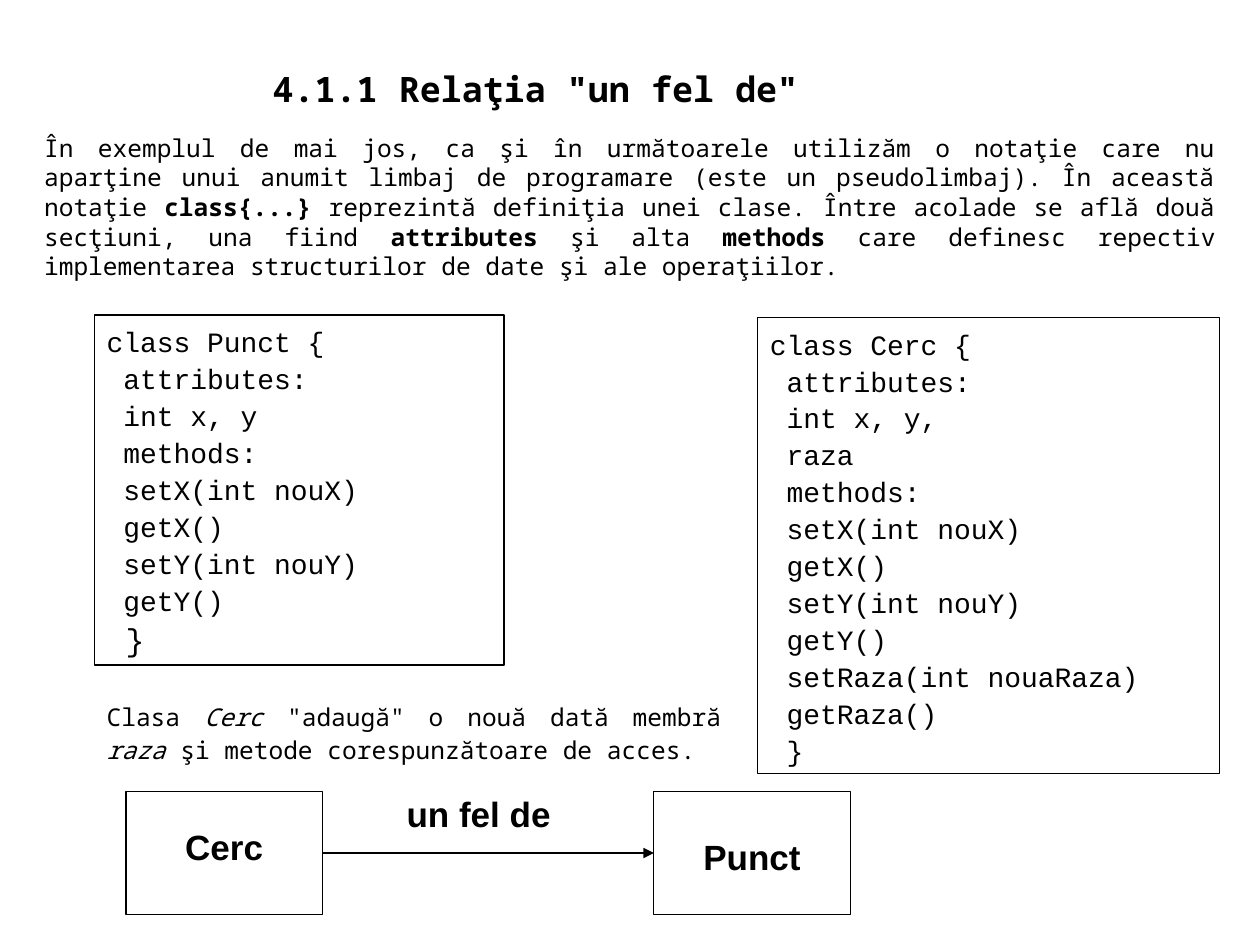
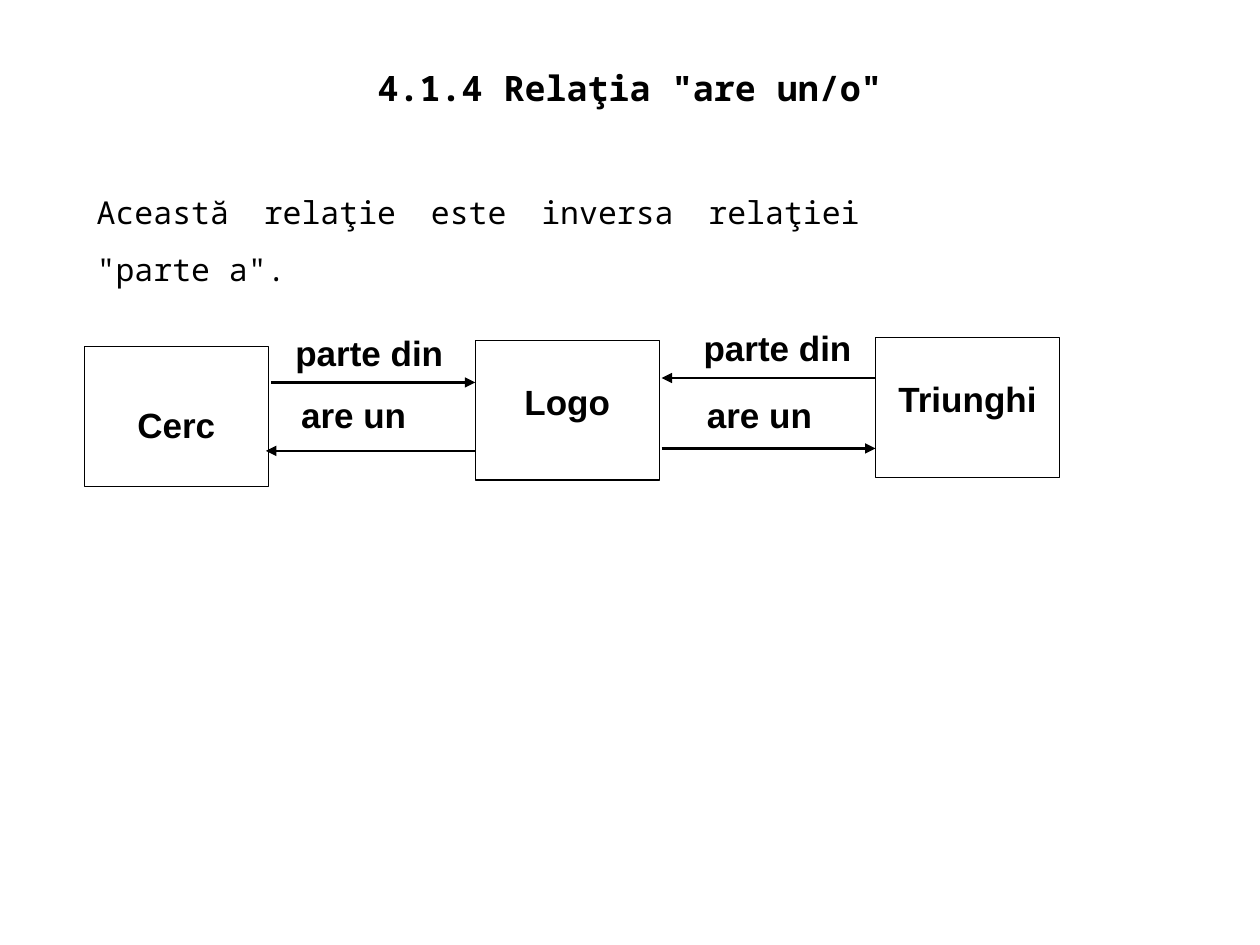
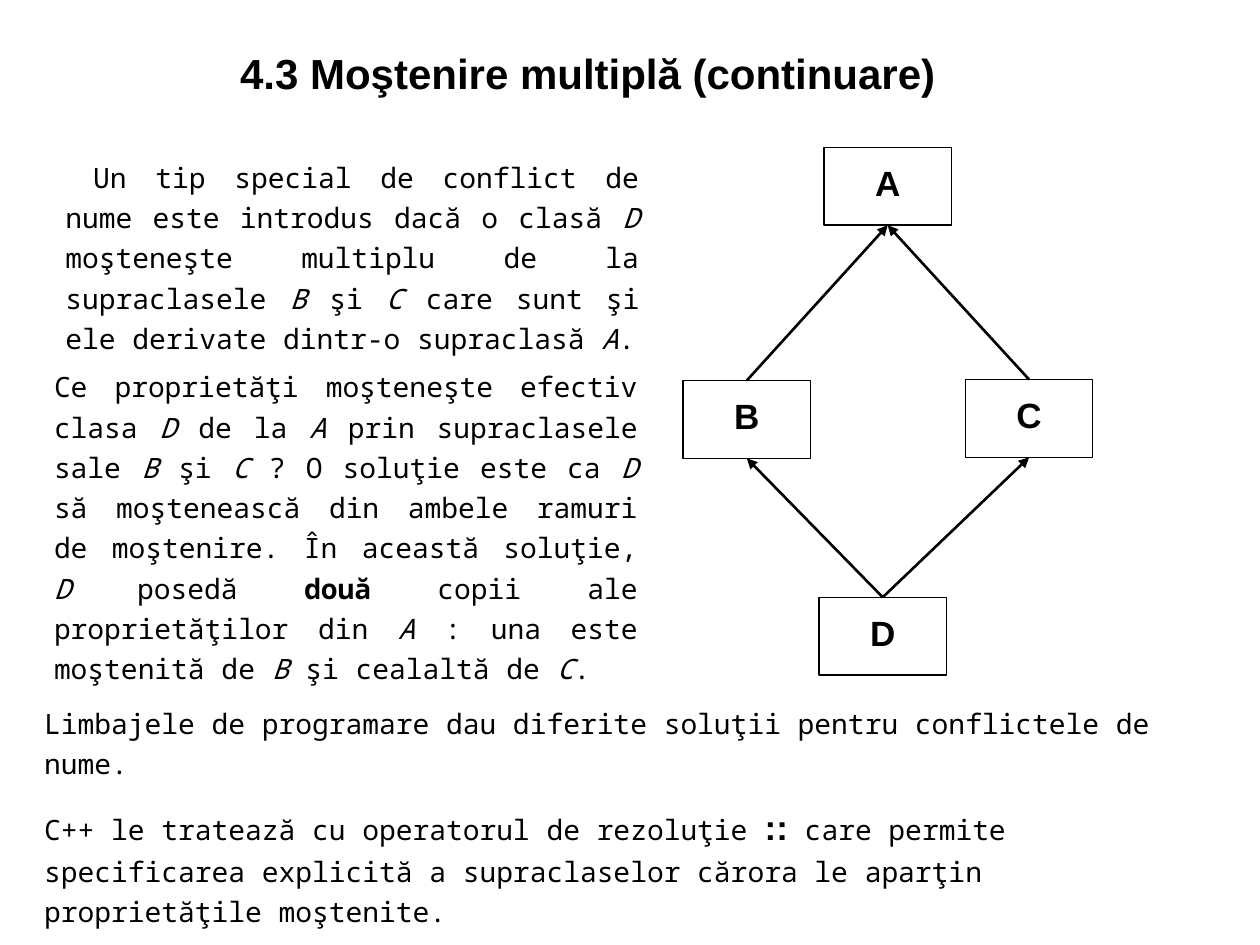
import dataclasses

import lxml.etree
import pptx
import pptx.dml.color
import pptx.enum.shapes
import pptx.enum.text
import pptx.oxml.ns
import pptx.util

Cm = pptx.util.Cm
Align = pptx.enum.text.PP_ALIGN
Anchor = pptx.enum.text.MSO_ANCHOR
AutoSize = pptx.enum.text.MSO_AUTO_SIZE
TOP, LEFT, BOTTOM, RIGHT = range(4)


@dataclasses.dataclass(frozen=True)
class Theme:
    """Colours, fonts, type sizes and line widths of the deck."""

    ink: pptx.dml.color.RGBColor = pptx.dml.color.RGBColor(0, 0, 0)
    paper: pptx.dml.color.RGBColor = pptx.dml.color.RGBColor(255, 255, 255)
    sans: str = "Arial"
    mono: str = "Noto Sans Mono"
    code: str = "Courier New"
    heading: int = 24
    label: int = 20
    lead: int = 18
    body: int = 16
    small: int = 14
    outline: float = 0.75
    arrow: float = 1.5
    label_spacing: float = 0.78
    code_spacing: float = 1.1
    inset_x: float = 0.25
    inset_y: float = 0.13


THEME = Theme()


def write(frame, paragraphs, font=THEME.mono, size=THEME.body, bold=False, align=Align.LEFT,
          spacing=1.0, gap=0, indent=0, anchor=Anchor.TOP, grow=False, drop=0):
    """Fill a frame with paragraphs, each a string or a list of strings and (text, format) spans."""
    frame.word_wrap = True
    frame.auto_size = AutoSize.SHAPE_TO_FIT_TEXT if grow else AutoSize.NONE
    frame.vertical_anchor = anchor
    frame.margin_left = frame.margin_right = Cm(THEME.inset_x)
    frame.margin_top = Cm(THEME.inset_y + max(0, 2 * drop))
    frame.margin_bottom = Cm(THEME.inset_y + max(0, -2 * drop))
    for number, spans in enumerate(paragraphs):
        para = frame.add_paragraph() if number else frame.paragraphs[0]
        para.alignment = align
        para.line_spacing = spacing
        para.space_before = pptx.util.Pt(gap if number else 0)
        if indent:
            para._p.get_or_add_pPr().set("indent", str(Cm(indent)))
        for span in [spans] if isinstance(spans, str) else spans:
            text, changes = (span, {}) if isinstance(span, str) else span
            look = {"font": font, "size": size, "bold": bold, "italic": False, **changes}
            run = para.add_run()
            run.text = text
            run.font.name = look["font"]
            run.font.size = pptx.util.Pt(look["size"])
            run.font.bold = look["bold"]
            run.font.italic = look["italic"]
            run.font.color.rgb = THEME.ink


def italic(text):
    """Return an italic span."""
    return text, {"italic": True}


def bold(text):
    """Return a bold span."""
    return text, {"bold": True}


def add_page(deck, title, left, top, width, height, font=THEME.mono, size=THEME.label):
    """Add a page with its title placed and formatted."""
    page = deck.slides.add_slide(deck.slide_layouts[5])
    box = page.shapes.title
    box.left, box.top, box.width, box.height = map(Cm, (left, top, width, height))
    write(box.text_frame, [title], font=font, size=size, bold=True,
          align=Align.CENTER, anchor=Anchor.BOTTOM)
    return page


def add_prose(page, paragraphs, left, top, width, height, **look):
    """Add a text box."""
    box = page.shapes.add_textbox(*map(Cm, (left, top, width, height)))
    write(box.text_frame, paragraphs, **look)


def add_label(page, text, left, top, width, height, align=Align.CENTER):
    """Add the bold caption of an arrow."""
    add_prose(page, [text], left, top, width, height, font=THEME.sans, size=THEME.label,
              bold=True, align=align, spacing=THEME.label_spacing, anchor=Anchor.MIDDLE)


def add_frame(page, left, top, width, height):
    """Add an outlined rectangle without fill."""
    box = page.shapes.add_shape(pptx.enum.shapes.MSO_SHAPE.RECTANGLE,
                                *map(Cm, (left, top, width, height)))
    box.shadow.inherit = False
    box.fill.background()
    box.line.color.rgb = THEME.ink
    box.line.width = pptx.util.Pt(THEME.outline)
    return box


def add_class(page, name, left, top, width, height, drop=0):
    """Add a class box, its name moved down by drop from the middle."""
    box = add_frame(page, left, top, width, height)
    box.fill.solid()
    box.fill.fore_color.rgb = THEME.paper
    write(box.text_frame, [name], font=THEME.sans, size=THEME.label, bold=True,
          align=Align.CENTER, spacing=THEME.label_spacing, anchor=Anchor.MIDDLE, drop=drop)
    return box


def add_code(page, lines, left, top, width, height):
    """Add a framed code listing."""
    box = add_frame(page, left, top, width, height)
    write(box.text_frame, lines, font=THEME.code, spacing=THEME.code_spacing)


def add_arrow(page, x1=0, y1=0, x2=0, y2=0):
    """Add a straight arrow pointing at its end."""
    arrow = page.shapes.add_connector(pptx.enum.shapes.MSO_CONNECTOR.STRAIGHT,
                                      *map(Cm, (x1, y1, x2, y2)))
    arrow.line.color.rgb = THEME.ink
    arrow.line.width = pptx.util.Pt(THEME.arrow)
    tail = lxml.etree.SubElement(arrow.line._get_or_add_ln(), pptx.oxml.ns.qn("a:tailEnd"))
    tail.set("type", "triangle")
    lxml.etree.SubElement(arrow._element.spPr, pptx.oxml.ns.qn("a:effectLst"))
    return arrow


def join(page, source, source_side, target, target_side):
    """Connect the side middles of two boxes with an arrow."""
    arrow = add_arrow(page)
    arrow.begin_connect(source, source_side)
    arrow.end_connect(target, target_side)


def build_kind_of(deck):
    """Build the page on the relation "un fel de"."""
    page = add_page(deck, '4.1.1 Relaţia "un fel de"', 3.18, 1.22, 15.24, 1.12)
    accessors = [" setX(int nouX)", " getX()", " setY(int nouY)", " getY()"]
    add_code(page, ["class Punct {", " attributes:", " int x, y", " methods:", *accessors,
                    [(" }", {"size": THEME.lead})]], 1.9, 6.35, 8.26, 7.06)
    add_code(page, ["class Cerc {", " attributes:", " int x, y,", " raza", " methods:", *accessors,
                    " setRaza(int nouaRaza)", " getRaza()", " }"], 15.27, 6.4, 9.32, 9.19)
    add_prose(page, [["Clasa ", italic("Cerc "), '"adaugă" o nouă dată membră ', italic("raza "),
                      "şi metode corespunzătoare de acces."]],
              1.9, 13.97, 12.9, 1.57, size=THEME.small, align=Align.JUSTIFY, spacing=1.1, grow=True)
    circle = add_class(page, "Cerc", 2.54, 15.95, 3.96, 2.49, drop=-0.04)
    point = add_class(page, "Punct", 13.18, 15.95, 3.96, 2.49, drop=0.15)
    add_label(page, "un fel de", 6.68, 15.88, 5.94, 1.22)
    join(page, circle, RIGHT, point, LEFT)
    add_prose(page, [[
        "În exemplul de mai jos, ca şi în următoarele utilizăm o notaţie care nu aparţine unui "
        "anumit limbaj de programare (este un pseudolimbaj). În această notaţie ",
        bold("class{...}"),
        " reprezintă definiţia unei clase. Între acolade se află două secţiuni, una fiind ",
        bold("attributes"), " şi alta ", bold("methods"),
        " care definesc repectiv implementarea structurilor de date şi ale operaţiilor."]],
        0.64, 2.54, 24.13, 3.58, size=THEME.small, align=Align.JUSTIFY, spacing=1.01)


def build_has_a(deck):
    """Build the page on the relation "are un/o"."""
    page = add_page(deck, '4.1.4 Relaţia "are un/o"', 1.27, 0.84, 22.86, 1.47)
    add_prose(page, ['Această relaţie este inversa relaţiei "parte a".'], 1.7, 3.38, 15.88, 1.4,
              size=THEME.lead, align=Align.JUSTIFY, spacing=1.5, grow=True)
    width, height = 3.71, 2.82
    for name, left, top, drop in [("Cerc", 1.7, 6.99, 0.24), ("Logo", 9.58, 6.86, -0.1),
                                  ("Triunghi", 17.65, 6.81, -0.1)]:
        add_class(page, name, left, top, width, height, drop=drop)
    for ends in [(5.46, 7.71, 9.58, 7.71), (9.58, 9.09, 5.36, 9.09),
                 (17.65, 7.62, 13.34, 7.62), (13.34, 9.04, 17.65, 9.04)]:
        add_arrow(page, *ends)
    for left, top in [(5.59, 6.65), (13.82, 6.55)]:
        add_label(page, "parte din", left, top, width, 1.09)
    for left in (5.82, 14):
        add_label(page, "are un", left, 7.9, width, 1.09, align=Align.LEFT)


def build_multiple_inheritance(deck):
    """Build the page on multiple inheritance."""
    page = add_page(deck, "4.3 Moştenire multiplă (continuare)", 2.11, 0.84, 19.48, 1.27,
                    font=THEME.sans, size=THEME.heading)
    justified = {"align": Align.JUSTIFY, "spacing": 1.2, "grow": True}
    add_prose(page, [[
        "Un tip special de conflict de nume este introdus dacă o clasă ", italic("D "),
        "moşteneşte multiplu de la supraclasele ", italic("B "), "şi ", italic("C "),
        "care sunt şi ele derivate dintr-o supraclasă ", italic("A"), "."]],
        1.07, 2.97, 12.07, 3.51, indent=0.56, **justified)
    add_prose(page, [[
        "Ce proprietăţi moşteneşte efectiv clasa ", italic("D "), "de la ", italic("A"),
        " prin supraclasele sale ", italic("B "), "şi ", italic("C "), "? O soluţie este ca ",
        italic("D "), "să moştenească din ambele ramuri de moştenire. În această soluţie, ",
        italic("D "), "posedă ", bold("două"), " copii ale proprietăţilor din ", italic("A"),
        " : una este moştenită de ", italic("B "), "şi cealaltă de ", italic("C"), "."]],
        0.84, 7.19, 12.27, 5.13, **justified)
    add_prose(page, [
        "Limbajele de programare dau diferite soluţii pentru conflictele de nume.",
        ["C++ le tratează cu operatorul de rezoluţie ",
         ("::", {"font": THEME.sans, "size": THEME.label, "bold": True}),
         " care permite specificarea explicită a supraclaselor cărora le aparţin "
         "proprietăţile moştenite."]],
        0.64, 13.97, 23.93, 3.25, spacing=1.2, gap=10, grow=True)
    places = {"A": (16.61, 2.97), "B": (13.77, 7.67), "C": (19.46, 7.65), "D": (16.51, 12.04)}
    classes = {name: add_class(page, name, *place, 2.57, 1.57) for name, place in places.items()}
    for child, parent in ("DB", "DC", "BA", "CA"):
        join(page, classes[child], TOP, classes[parent], BOTTOM)


def main():
    """Build and save the deck."""
    deck = pptx.Presentation()
    deck.slide_width, deck.slide_height = Cm(25.4), Cm(19.05)
    build_kind_of(deck)
    build_has_a(deck)
    build_multiple_inheritance(deck)
    deck.save("out.pptx")


if __name__ == "__main__":
    main()
